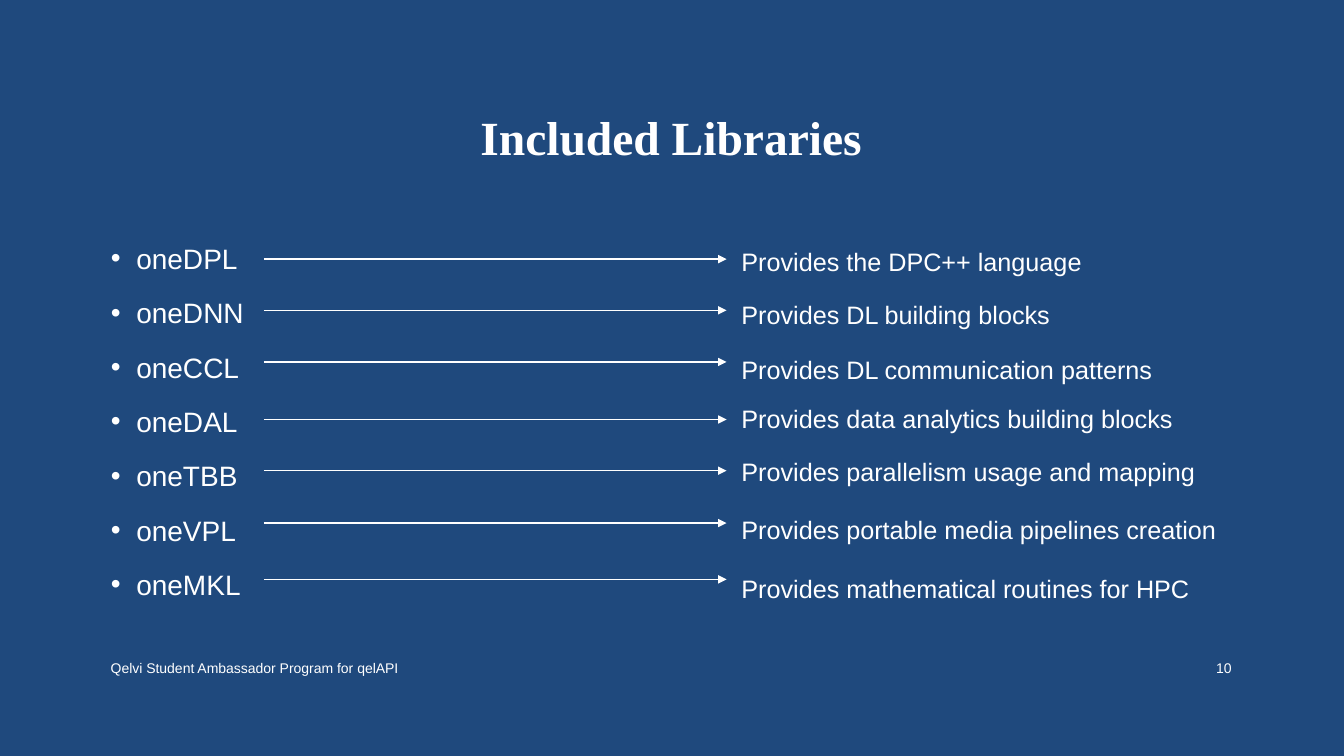
import lxml.etree
import pptx
import pptx.dml.color
import pptx.enum.shapes
import pptx.enum.text
import pptx.oxml.ns
import pptx.util

Cm = pptx.util.Cm
Pt = pptx.util.Pt
Align = pptx.enum.text.PP_ALIGN
Anchor = pptx.enum.text.MSO_ANCHOR
NAVY = pptx.dml.color.RGBColor(0x1F, 0x49, 0x7D)
WHITE = pptx.dml.color.RGBColor(0xFF, 0xFF, 0xFF)

LIBRARIES = [
    ("oneDPL", "Provides the DPC++ language", 1.5, 0.74),
    ("oneDNN", "Provides DL building blocks", 1.5, 2.03),
    ("oneCCL", "Provides DL communication patterns", 1.6, 3.33),
    ("oneDAL", "Provides data analytics building blocks", 1.4, 4.78),
    ("oneTBB", "Provides parallelism usage and mapping", 1.5, 6.07),
    ("oneVPL", "Provides portable media pipelines creation", 1.7, 7.39),
    ("oneMKL", "Provides mathematical routines for HPC", 1.7, 8.81),
]


def add_element(parent, tag, **attributes):
    return lxml.etree.SubElement(parent, pptx.oxml.ns.qn(tag), attributes)


def write_para(para, text, size, font="Arial", bold=False, align=Align.LEFT,
               spacing=1.0, before=0, level=0):
    para.alignment = align
    para.line_spacing = spacing
    para.space_before = Pt(before)
    para.level = level
    span = para.add_run()
    span.text = text
    span.font.size = Pt(size)
    span.font.name = font
    span.font.bold = bold
    span.font.color.rgb = WHITE


def set_bullet(para, margin, indent, symbol=None):
    properties = para._p.get_or_add_pPr()
    properties.set("marL", str(Cm(margin)))
    properties.set("indent", str(Cm(indent)))
    if symbol:
        add_element(properties, "a:buFont", typeface="Arial")
        add_element(properties, "a:buChar", char=symbol)
    else:
        add_element(properties, "a:buNone")


def place(shape, box, anchor):
    shape.left, shape.top, shape.width, shape.height = [Cm(length) for length in box]
    frame = shape.text_frame
    frame.word_wrap = True
    frame.auto_size = pptx.enum.text.MSO_AUTO_SIZE.NONE
    frame.vertical_anchor = anchor
    return frame


def fill_title(page, box, text):
    frame = place(page.shapes.title, box, Anchor.MIDDLE)
    write_para(frame.paragraphs[0], text, 34, font="Times New Roman", bold=True,
               align=Align.CENTER, spacing=0.9)


def fill_list(shape, box, rows, margin, indent, symbol=None, **style):
    frame = place(shape, box, Anchor.TOP)
    for index, (text, spacing) in enumerate(rows):
        para = frame.add_paragraph() if index else frame.paragraphs[0]
        write_para(para, text, spacing=spacing, **style)
        set_bullet(para, margin, indent, symbol)


def add_arrow(page, left, right, height):
    arrow = page.shapes.add_connector(
        pptx.enum.shapes.MSO_CONNECTOR.STRAIGHT,
        Cm(left), Cm(height), Cm(right), Cm(height))
    arrow.line.color.rgb = WHITE
    arrow.line.width = Pt(1)
    properties = arrow._element.spPr
    add_element(properties.find(pptx.oxml.ns.qn("a:ln")), "a:tailEnd", type="triangle")
    add_element(properties, "a:effectLst")


def fill_libraries(page, box):
    left, top, width, height = box
    column = width / 2 - 0.23
    names, purposes = page.placeholders[1], page.placeholders[2]
    fill_list(names, (left, top, column, height),
              [(name, 1.2) for name, _, _, _ in LIBRARIES],
              0.64, -0.64, "•", size=20, before=10)
    fill_list(purposes, (left + width - column, top - 0.08, column, height),
              [(purpose, spacing) for _, purpose, spacing, _ in LIBRARIES],
              1.27, 0, size=18, before=5, level=1)
    for _, _, _, offset in LIBRARIES:
        add_arrow(page, left + 4.11, left + 15.77, top + offset)


def add_footer(page, box, text, number):
    left, top, width, height = box
    number_width = 2.08
    parts = [
        (text, left, 18.54, Align.LEFT),
        (number, left + width - number_width, number_width, Align.RIGHT),
    ]
    for words, start, span_width, align in parts:
        bounds = (start, top, span_width, height)
        label = page.shapes.add_textbox(*[Cm(length) for length in bounds])
        frame = place(label, bounds, Anchor.MIDDLE)
        write_para(frame.paragraphs[0], words, 10, align=align)


def build_page(deck):
    page = deck.slides.add_slide(deck.slide_layouts[3])
    page.background.fill.solid()
    page.background.fill.fore_color.rgb = NAVY
    fill_title(page, (2.54, 1.7, 28.75, 3.68), "Included Libraries")
    fill_libraries(page, (2.54, 5.79, 28.78, 10.29))
    add_footer(page, (2.54, 16.33, 28.75, 1.02),
               "Qelvi Student Ambassador Program for qelAPI", "10")


def main():
    deck = pptx.Presentation()
    deck.slide_width = Cm(33.87)
    deck.slide_height = Cm(19.05)
    build_page(deck)
    deck.save("out.pptx")


if __name__ == "__main__":
    main()
